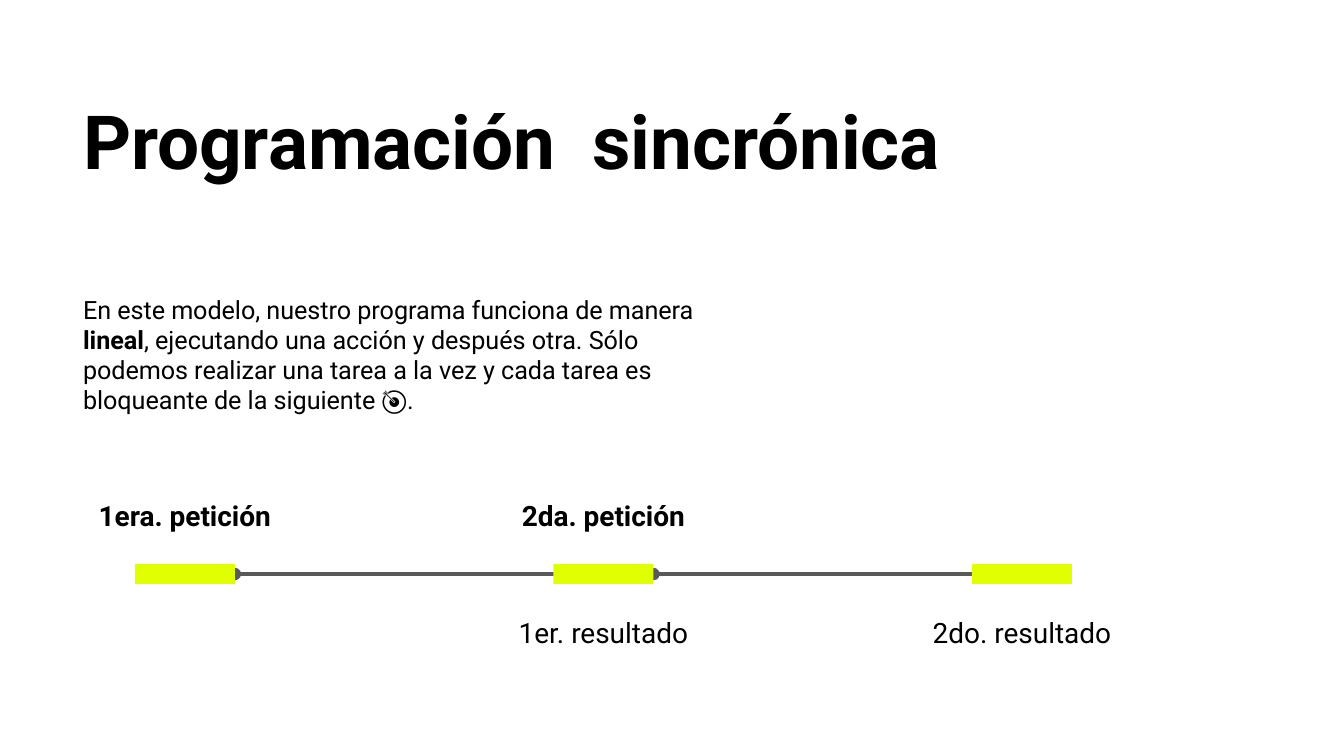
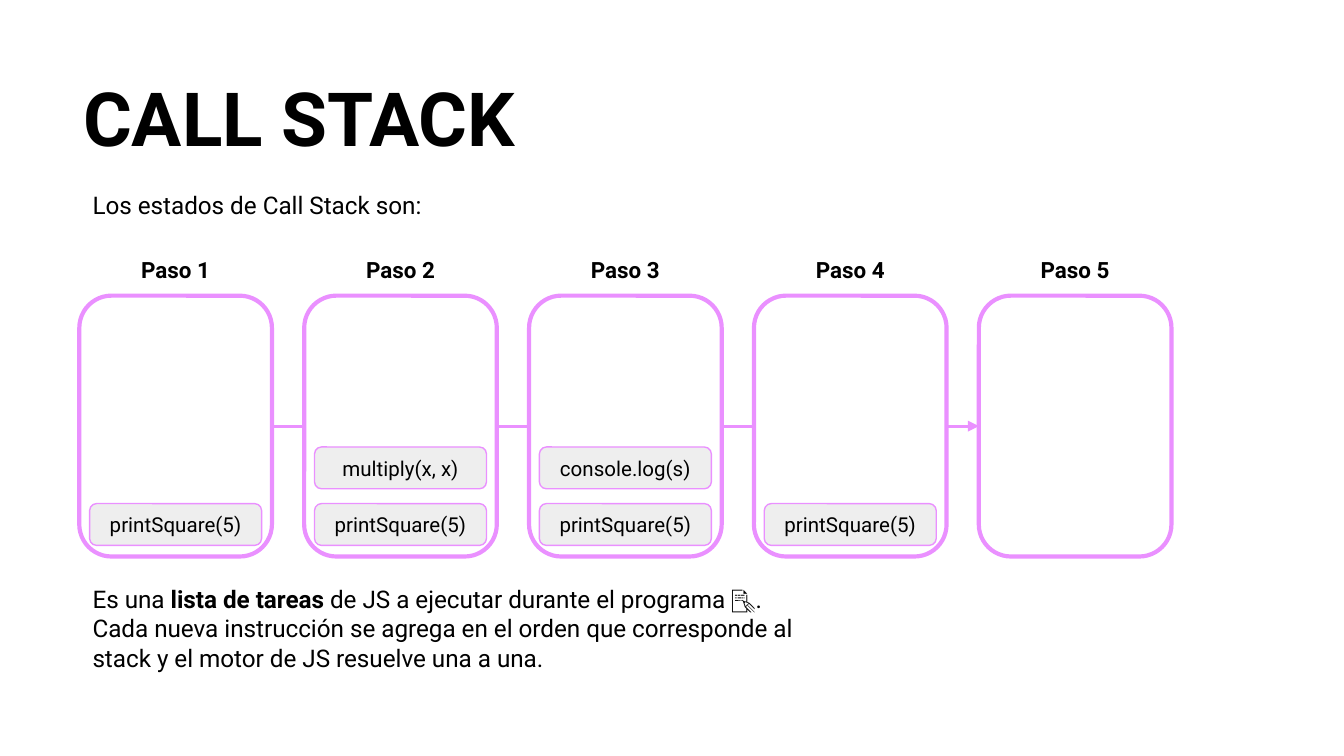
"""Build two slides on synchronous code and the call stack."""
from dataclasses import dataclass

from lxml.etree import SubElement
from pptx import Presentation
from pptx.dml.color import RGBColor
from pptx.enum.shapes import MSO_CONNECTOR, MSO_SHAPE
from pptx.enum.text import MSO_ANCHOR, MSO_AUTO_SIZE, PP_ALIGN
from pptx.oxml.ns import qn
from pptx.util import Cm, Pt

LEFT, CENTER = PP_ALIGN.LEFT, PP_ALIGN.CENTER
TOP, MIDDLE = MSO_ANCHOR.TOP, MSO_ANCHOR.MIDDLE
GROW, FIXED = MSO_AUTO_SIZE.SHAPE_TO_FIT_TEXT, MSO_AUTO_SIZE.NONE
RECT, ROUND = MSO_SHAPE.RECTANGLE, MSO_SHAPE.ROUNDED_RECTANGLE
STRAIGHT = MSO_CONNECTOR.STRAIGHT
LEFT_SIDE, RIGHT_SIDE = 1, 3


@dataclass(frozen=True)
class Theme:
    """Hold the font, colours and type sizes."""
    font: str = "Roboto"
    ink: str = "000000"
    paper: str = "FFFFFF"
    gray: str = "595959"
    lime: str = "E0FF00"
    pink: str = "EA90FF"
    pale: str = "EEEEEE"
    title: float = 40
    body: float = 13.5
    note: float = 13
    label: float = 15
    step: float = 12
    code: float = 11
    pad: float = 0.25


THEME = Theme()


def color(code):
    """Turn a hex code into a colour."""
    return RGBColor.from_string(code)


def place(shape, left, top, width, height):
    """Move and size a shape in centimetres."""
    shape.left, shape.top = Cm(left), Cm(top)
    shape.width, shape.height = Cm(width), Cm(height)


def write(shape, text, size, align=LEFT, anchor=TOP, fit=GROW):
    """Fill a shape with text, bold between asterisks."""
    frame = shape.text_frame
    frame.word_wrap = True
    frame.auto_size = fit
    frame.vertical_anchor = anchor
    frame.margin_left = frame.margin_right = Cm(THEME.pad)
    frame.margin_top = frame.margin_bottom = Cm(THEME.pad)
    para = frame.paragraphs[0]
    para.alignment = align
    for index, part in enumerate(text.split("*")):
        if part:
            run = para.add_run()
            run.text = part
            run.font.name = THEME.font
            run.font.size = Pt(size)
            run.font.bold = index % 2 == 1
            run.font.color.rgb = color(THEME.ink)
    return para


def add_page(deck, title, top, width):
    """Add a slide with its title."""
    page = deck.slides.add_slide(deck.slide_layouts[5])
    page.background.fill.solid()
    page.background.fill.fore_color.rgb = color(THEME.paper)
    head = page.shapes.title
    place(head, 1.32, top, width, 2.06)
    write(head, f"*{title}*", THEME.title).line_spacing = 0.9
    return page


def add_text(page, box, text, size, align=LEFT):
    """Add a text box and return its paragraph."""
    shape = page.shapes.add_textbox(*map(Cm, box))
    return write(shape, text, size, align)


def add_box(page, kind, box, fill, edge=None, weight=0):
    """Add a filled shape, with an outline if given."""
    shape = page.shapes.add_shape(kind, *map(Cm, box))
    shape.shadow.inherit = False
    shape.fill.solid()
    shape.fill.fore_color.rgb = color(fill)
    if edge:
        shape.line.color.rgb = color(edge)
        shape.line.width = Pt(weight)
    else:
        shape.line.fill.background()
    return shape


def add_link(page, start, end, side, back, ink, weight, tip, kind):
    """Join two shapes with a line placed behind a third."""
    link = page.shapes.add_connector(STRAIGHT, 0, 0, 0, 0)
    link.begin_connect(start, RIGHT_SIDE)
    link.end_connect(end, side)
    link.line.color.rgb = color(ink)
    link.line.width = Pt(weight)
    props = link.element.spPr
    SubElement(props.find(qn("a:ln")), qn(tip), type=kind)
    SubElement(props, qn("a:effectLst"))
    back.element.addprevious(link.element)


def add_sync(deck):
    """Build the slide on synchronous code."""
    page = add_page(deck, "Programación  sincrónica", 1.73, 22.6)
    add_text(page, (1.32, 5.31, 12.22, 2.82),
             "En este modelo, nuestro programa funciona de manera *lineal*, "
             "ejecutando una acción y después otra. Sólo podemos realizar una "
             "tarea a la vez y cada tarea es bloqueante de la siguiente 🎯.",
             THEME.body)
    left, pitch, width = 2.55, 7.91, 1.89
    bars = [add_box(page, RECT, (left + i * pitch, 10.66, width, 0.38),
                    THEME.lime) for i in range(3)]
    for start, end in zip(bars, bars[1:]):
        add_link(page, start, end, RIGHT_SIDE, bars[0],
                 THEME.gray, 2.25, "a:headEnd", "oval")
    labels = ((0, 9.17, 4.09, "*1era. petición*"),
              (1, 9.17, 4.52, "*2da. petición*"),
              (1, 11.38, 4.27, "1er. resultado"),
              (2, 11.38, 4.27, "2do. resultado"))
    for index, top, span, text in labels:
        x = left + index * pitch + (width - span) / 2
        add_text(page, (x, top, span, 1.14), text, THEME.label, CENTER)


def add_stack(deck):
    """Build the slide on the call stack."""
    page = add_page(deck, "CALL STACK", 1.3, 13.84)
    add_text(page, (1.5, 3.35, 13.84, 1.07),
             "Los estados de Call Stack son:", THEME.note)
    left, pitch, width, inner = 1.5, 4.25, 3.64, 3.25
    base = "printSquare(5)"
    steps = ((base,), (base, "multiply(x, x)"), (base, "console.log(s)"),
             (base,), ())
    frames = []
    for index, calls in enumerate(steps):
        x = left + index * pitch
        frames.append(add_box(page, ROUND, (x, 5.59, width, 4.93),
                              THEME.paper, THEME.pink, 2.25))
        for row, call in enumerate(calls):
            box = (x + (width - inner) / 2, 9.52 - row * 1.07, inner, 0.79)
            card = add_box(page, ROUND, box, THEME.pale, THEME.pink, 0.75)
            write(card, call, THEME.code, CENTER, MIDDLE, FIXED)
        para = add_text(page, (x, 4.6, width, 1.02), f"*Paso {index + 1}*",
                        THEME.step, CENTER)
        para.space_after = Pt(10)
    add_link(page, frames[0], frames[-1], LEFT_SIDE, frames[0],
             THEME.pink, 1.5, "a:tailEnd", "triangle")
    para = add_text(page, (1.5, 10.8, 14.25, 2.18),
                    "Es una* lista de tareas *de JS a ejecutar durante el "
                    "programa 📝. Cada nueva instrucción se agrega en el orden "
                    "que corresponde al stack y el motor de JS resuelve una a "
                    "una.", THEME.note)
    para.space_after = Pt(10)


def main():
    """Build and save the deck."""
    deck = Presentation()
    deck.slide_width, deck.slide_height = Cm(25.4), Cm(14.29)
    add_sync(deck)
    add_stack(deck)
    deck.save("out.pptx")


if __name__ == "__main__":
    main()
